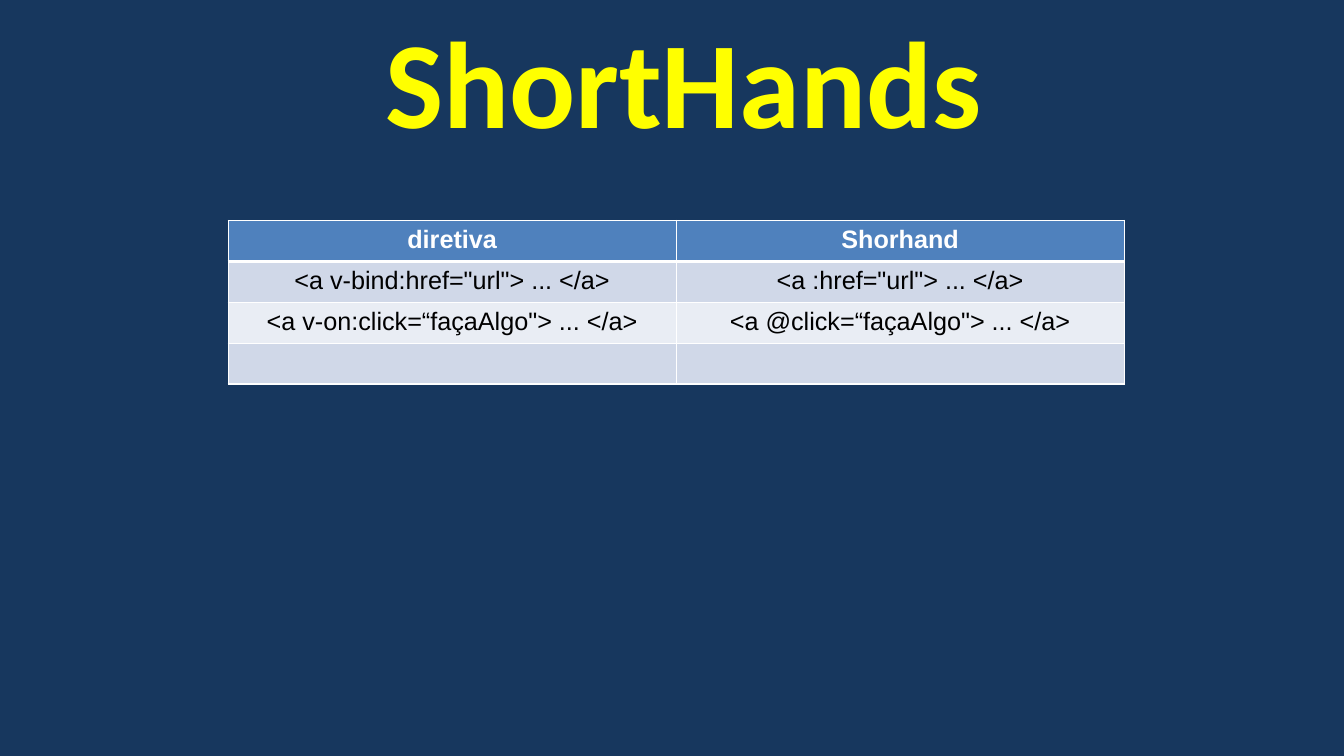
from lxml.etree import SubElement
from pptx import Presentation
from pptx.dml.color import RGBColor
from pptx.enum.text import MSO_AUTO_SIZE, PP_ALIGN
from pptx.oxml.ns import qn
from pptx.util import Pt


def color(code):
    return RGBColor.from_string(code)


class Deck:
    back = "17375E"
    gold = "FFFF00"
    white = "FFFFFF"
    black = "000000"
    head = "4F81BD"
    bands = ("D0D8E8", "E9EDF4")

    def __init__(self, width, height):
        self.deck = Presentation()
        self.deck.slide_width = Pt(width)
        self.deck.slide_height = Pt(height)
        self.slide = self.deck.slides.add_slide(self.deck.slide_layouts[6])
        fill = self.slide.background.fill
        fill.solid()
        fill.fore_color.rgb = color(self.back)

    def style(self, para, face, size, tint, bold):
        font = para.font
        font.name = face
        font.size = Pt(size)
        font.bold = bold
        font.color.rgb = color(tint)

    def title(self, text, left, top, width, height):
        box = self.slide.shapes.add_textbox(Pt(left), Pt(top), Pt(width), Pt(height))
        frame = box.text_frame
        frame.word_wrap = True
        frame.auto_size = MSO_AUTO_SIZE.SHAPE_TO_FIT_TEXT
        para = frame.paragraphs[0]
        para.text = text
        self.style(para, "Calibri", 88, self.gold, True)

    def border(self, cell, side, width):
        props = cell._tc.get_or_add_tcPr()
        line = SubElement(props, qn(f"a:ln{side}"), w=str(Pt(width)))
        fill = SubElement(line, qn("a:solidFill"))
        SubElement(fill, qn("a:srgbClr"), val=self.white)

    def cell(self, cell, text, row):
        first = row == 0
        # The rule under the header is thicker than the rest
        sides = {"L": 1, "R": 1, "T": 3 if row == 1 else 1, "B": 3 if first else 1}
        for side, width in sides.items():
            self.border(cell, side, width)
        cell.fill.solid()
        cell.fill.fore_color.rgb = color(self.head if first else self.bands[(row - 1) % 2])
        para = cell.text_frame.paragraphs[0]
        para.text = text
        para.alignment = PP_ALIGN.CENTER
        self.style(para, "Arial", 18, self.white if first else self.black, first)

    def table(self, rows, left, top, width, height):
        frame = self.slide.shapes.add_table(
            len(rows), len(rows[0]), Pt(left), Pt(top), Pt(width), Pt(height))
        grid = frame.table
        grid.horz_banding = False
        for row, texts in enumerate(rows):
            for col, text in enumerate(texts):
                self.cell(grid.cell(row, col), text, row)

    def save(self):
        self.deck.save("out.pptx")


def main():
    deck = Deck(960, 540)

    # Heading
    deck.title("ShortHands", 268, 0, 667, 114)

    # Directives and their short forms
    deck.table([
        ("diretiva", "Shorhand"),
        ('<a v-bind:href="url"> ... </a>', '<a :href="url"> ... </a>'),
        ('<a v-on:click=“façaAlgo"> ... </a>', '<a @click=“façaAlgo"> ... </a>'),
        ("", ""),
    ], 163, 157.5, 640, 116.8)

    deck.save()


if __name__ == "__main__":
    main()
